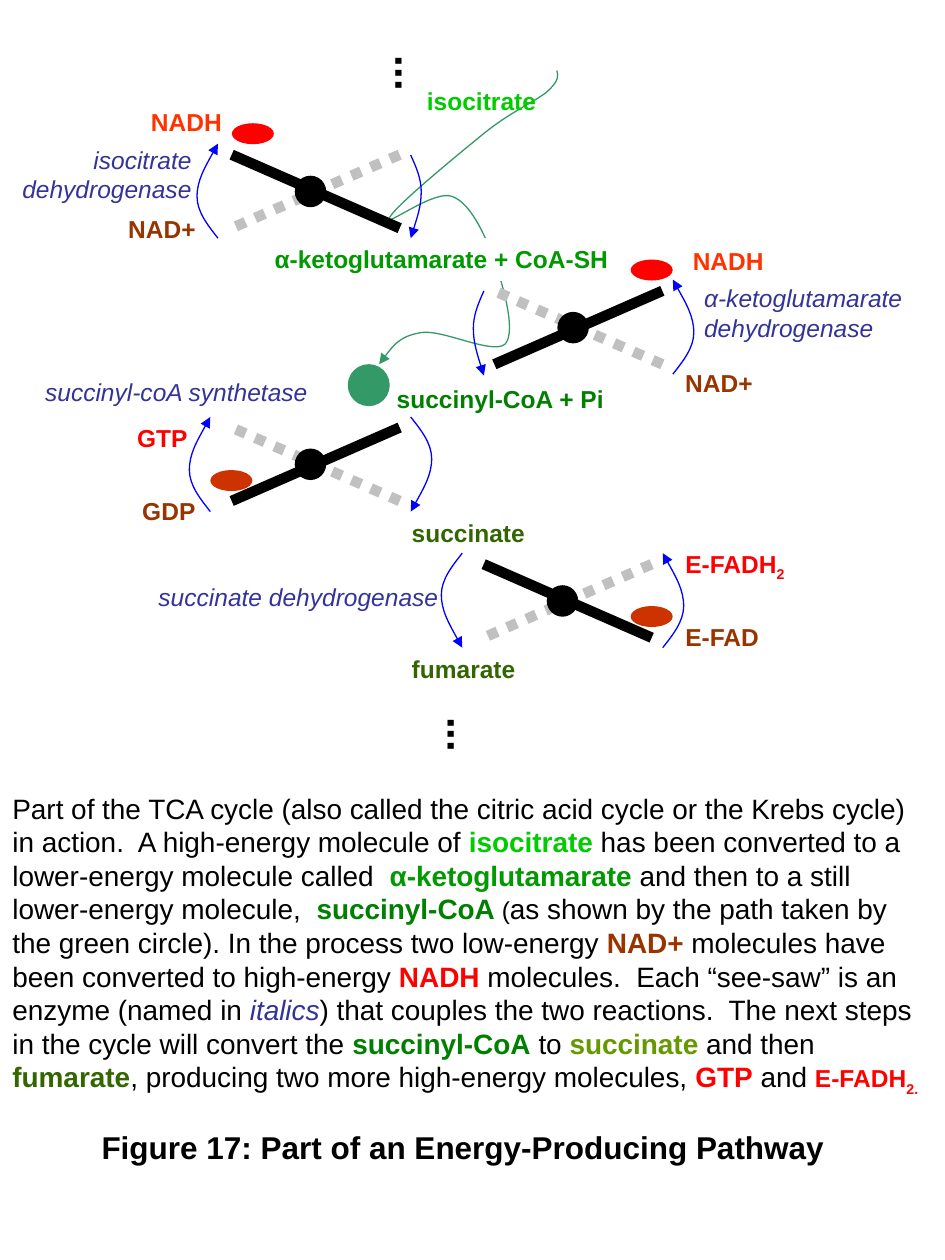
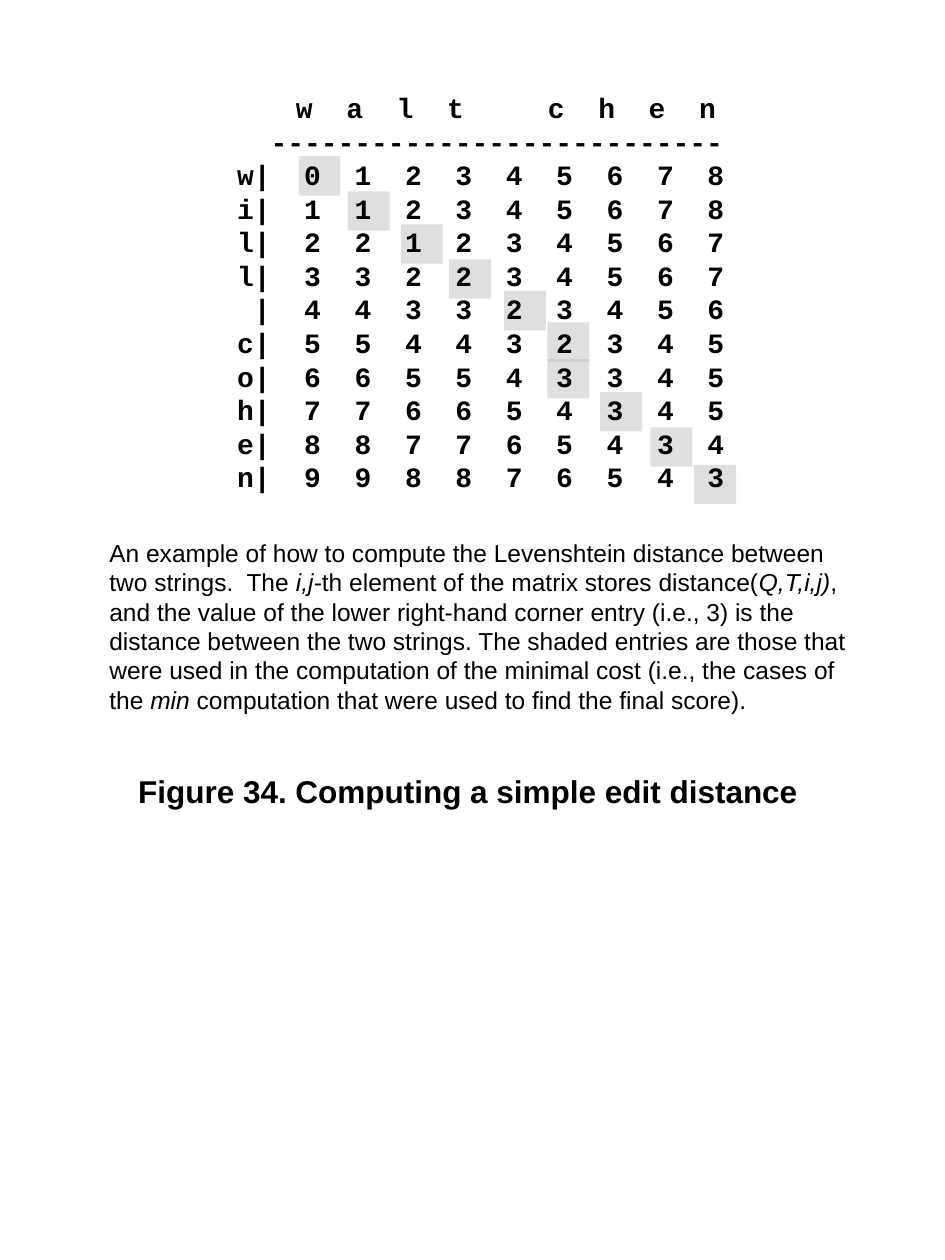
"""Build two figure pages: an energy pathway and an edit distance matrix."""
import dataclasses

import pptx
import pptx.dml.color
import pptx.enum.dml
import pptx.enum.shapes
import pptx.enum.text
import pptx.oxml.ns
import pptx.util
from lxml import etree

Pt = pptx.util.Pt
qn = pptx.oxml.ns.qn
SHAPES = pptx.enum.shapes.MSO_SHAPE
ALIGN = pptx.enum.text.PP_ALIGN
BLACK, SILVER, WHITE, BLUE = "000000", "C0C0C0", "FFFFFF", "0000FF"
RED, ORANGE, BROWN, RUST = "FF0000", "FF3300", "993300", "CC3300"
LIME, LEAF, GREEN, OLIVE = "00CC00", "009900", "008000", "336600"
MOSS, SEA, INDIGO = "669900", "339966", "333399"

CHARACTER = 9.6
COLUMN = 3 * CHARACTER
MATRIX_ROWS = [
    ("w", "012345678"), ("i", "112345678"), ("l", "221234567"), ("l", "332234567"),
    ("", "443323456"), ("c", "554432345"), ("o", "665543345"), ("h", "776654345"),
    ("e", "887765434"), ("n", "998876543"),
]
SHADED_CORNERS = [
    (170.6, 89.3), (198.7, 109.4), (229, 128.2), (256.6, 148.2), (288, 166.3),
    (312.8, 184.3), (312.8, 205.2), (343, 224.1), (371.7, 244.2), (396.7, 265.7),
]


@dataclasses.dataclass
class Span:
    """Hold a piece of text; style letters are b, i and s for subscript."""
    text: str
    colour: str = BLACK
    style: str = ""
    size: float = 0


def colour(value):
    """Turn a hex string into a colour."""
    return pptx.dml.color.RGBColor.from_string(value)


def write(paragraph, spans, size, font="Arial"):
    """Add formatted runs to a paragraph."""
    for span in spans:
        run = paragraph.add_run()
        run.text = span.text
        run.font.name = font
        run.font.size = Pt(span.size or size)
        run.font.bold = "b" in span.style
        run.font.italic = "i" in span.style
        run.font.color.rgb = colour(span.colour)
        if "s" in span.style:
            run.font._element.set("baseline", "-25000")


def add_text(page, frame, spans, size=14, wrap=False, align=ALIGN.LEFT):
    """Add a text box with one paragraph."""
    box = page.shapes.add_textbox(*map(Pt, frame))
    box.text_frame.word_wrap = wrap
    box.text_frame.auto_size = pptx.enum.text.MSO_AUTO_SIZE.SHAPE_TO_FIT_TEXT
    box.text_frame.paragraphs[0].alignment = align
    write(box.text_frame.paragraphs[0], spans, size)
    return box


def add_caption(page, frame, text):
    """Add the bold figure title."""
    add_text(page, frame, [Span(text, style="b")], 18, align=ALIGN.CENTER)


def add_dots(page, left, top):
    """Add a vertical ellipsis."""
    box = add_text(page, (left, top, 43.2, 27.4), [Span("...", style="b")], 24)
    text_frame = box.text_frame
    text_frame.margin_left = text_frame.margin_right = Pt(3.6)
    text_frame.margin_top = text_frame.margin_bottom = Pt(7.2)
    text_frame._txBody.bodyPr.set("vert", "eaVert")


def add_solid(page, kind, frame, fill, alpha=100):
    """Add a filled preset shape without outline."""
    shape = page.shapes.add_shape(kind, *map(Pt, frame))
    shape.shadow.inherit = False
    shape.line.fill.background()
    shape.fill.solid()
    shape.fill.fore_color.rgb = colour(fill)
    if alpha < 100:
        value = shape.fill._xPr.find(".//" + qn("a:srgbClr"))
        etree.SubElement(value, qn("a:alpha"), val=str(alpha * 1000))


def add_curve(page, points, line, arrow_end="tailEnd"):
    """Add a cubic curve with an arrowhead at one end."""
    corners = [(Pt(x), Pt(y)) for x, y in points]
    builder = page.shapes.build_freeform(*corners[0])
    builder.add_line_segments(corners[1:], close=False)
    curve = builder.convert_to_shape()
    curve.shadow.inherit = False
    curve.fill.background()
    curve.line.color.rgb = colour(line)
    curve.line.width = Pt(0.75)
    etree.SubElement(curve.line._get_or_add_ln(), qn("a:" + arrow_end), type="triangle")
    outline = curve._element.find(".//" + qn("a:path"))
    segments = outline.findall(qn("a:lnTo"))
    for first in range(0, len(segments), 3):
        bend = etree.SubElement(outline, qn("a:cubicBezTo"))
        for segment in segments[first:first + 3]:
            bend.append(segment[0])
            outline.remove(segment)


def add_arc(page, x, start, end, bulge):
    """Add a blue reaction arrow that bulges sideways."""
    steps = [(0, 0), (0.5, 0.14), (1, 0.28), (1, 0.44), (1, 0.61), (0.5, 0.8), (0, 1)]
    points = [(x + bulge * across, start + (end - start) * down) for across, down in steps]
    add_curve(page, points, BLUE)


def add_beam(page, x, y, rise, line, dash=None):
    """Add one sloping beam centred on a point."""
    beam = page.shapes.add_connector(
        pptx.enum.shapes.MSO_CONNECTOR.STRAIGHT,
        Pt(x + 48), Pt(y - rise), Pt(x - 48), Pt(y + rise))
    beam.line.color.rgb = colour(line)
    beam.line.width = Pt(6)
    beam.line.dash_style = dash
    etree.SubElement(beam._element.spPr, qn("a:effectLst"))


def add_seesaw(page, x, y, rise):
    """Add an enzyme: dotted former beam, solid beam and pivot."""
    add_beam(page, x, y, -rise, SILVER, pptx.enum.dml.MSO_LINE.ROUND_DOT)
    add_beam(page, x, y, rise, BLACK)
    add_solid(page, SHAPES.OVAL, (x - 12, y - 9, 18, 18), BLACK)


def set_tabs(paragraph, stops):
    """Give a paragraph left tab stops in points."""
    tabs = etree.SubElement(paragraph._p.get_or_add_pPr(), qn("a:tabLst"))
    for stop in stops:
        etree.SubElement(tabs, qn("a:tab"), pos=str(Pt(stop)), algn="l")


def add_matrix(page):
    """Add the distance matrix with its column and row letters."""
    box = add_text(page, (39.6, 48.2, 460.8, 237.6), [], wrap=True)
    letters = "\t" + "\t".join("walt chen").replace(" ", "")
    lines = [(letters, [122.4 + COLUMN * index for index in range(9)]),
             ("\t" + "-" * 27, [108])]
    digit_stops = [127.2 + COLUMN * index for index in range(9)]
    for letter, digits in MATRIX_ROWS:
        label_stop = 98.4 - CHARACTER * len(letter)
        lines.append((f"\t{letter}|\t" + "\t".join(digits), [label_stop, *digit_stops]))
    for index, (text, stops) in enumerate(lines):
        text_frame = box.text_frame
        paragraph = text_frame.add_paragraph() if index else text_frame.paragraphs[0]
        set_tabs(paragraph, stops)
        write(paragraph, [Span(text, style="b")], 16, "Courier New")


def build_pathway(page):
    """Draw the energy-producing pathway."""
    add_text(page, (0, 448.6, 540, 182.2), [
        Span("Part of the TCA cycle (also called the citric acid cycle or the Krebs cycle) "
             "in action.  A high-energy molecule of "),
        Span("isocitrate", LIME, "b"),
        Span(" has been converted to a lower-energy molecule called  "),
        Span("α-ketoglutamarate", LEAF, "b"),
        Span(" and then to a still lower-energy molecule,  "),
        Span("succinyl-CoA ", GREEN, "b"),
        Span("(", size=14),
        Span("as shown by the path taken by the green circle). "
             "In the process two low-energy "),
        Span("NAD+", BROWN, "b"),
        Span(" molecules have been converted to high-energy "),
        Span("NADH", RED, "b"),
        Span(" molecules.  Each “see-saw” is an enzyme (named in "),
        Span("italics", INDIGO, "i"),
        Span(") that couples the two reactions.  The next steps in the cycle "
             "will convert the "),
        Span("succinyl-CoA", GREEN, "b"),
        Span(" to "),
        Span("succinate", MOSS, "b"),
        Span(" and then "),
        Span("fumarate", OLIVE, "b"),
        Span(", producing two more high-energy molecules, "),
        Span("GTP", RED, "b"),
        Span(" and "),
        Span("E-FADH", RED, "b", 14),
        Span("2.", RED, "bs", 14),
    ], 16, wrap=True)
    add_curve(page, [
        (216.7, 208.1), (222.5, 200.2), (228.2, 192.2), (240.5, 190.1),
        (252.7, 187.9), (281.5, 203), (288.7, 196.6),
        (295.2, 189.4), (287.3, 162), (282.2, 148.3),
        (277.2, 133.9), (268.6, 115.9), (258.5, 112.3),
        (248.4, 108), (219.6, 130.3), (222.5, 124.6),
        (225.4, 118.1), (261.4, 88.6), (276.5, 76.3),
        (291.6, 64.1), (305.3, 58.3), (312.5, 52.6),
        (319.7, 46.1), (319, 43.2), (318.2, 40.3)], SEA, "headEnd")
    for x, y, rise in [(180.4, 109.4, -21), (330.5, 187.2, 21),
                       (180.4, 265.3, 21), (324.4, 343.4, -21)]:
        add_seesaw(page, x, y, rise)
    add_solid(page, SHAPES.RECTANGLE, (149.8, 136.1, 205.2, 24.5), WHITE)
    for left, top, width, text, value in [
            (236.9, 45.4, 78, "isocitrate", LIME),
            (149.8, 136.1, 206, "α-ketoglutamarate + CoA-SH", LEAF),
            (79.2, 57.6, 56, "NADH", ORANGE),
            (388.8, 136.8, 56, "NADH", ORANGE),
            (219.6, 216, 134, "succinyl-CoA + Pi", GREEN),
            (228.2, 292.3, 80, "succinate", OLIVE),
            (71.3, 238.3, 44, "GTP", RED),
            (228.2, 370.1, 75, "fumarate", OLIVE)]:
        add_text(page, (left, top, width, 24.5), [Span(text, value, "b")])
    for left, top, width, text in [
            (66.2, 118.8, 69.1, "NAD+"), (384.5, 206.6, 69.1, "NAD+"),
            (74.2, 280.1, 52.6, "GDP"), (384.5, 352.1, 77.8, "E-FAD")]:
        add_text(page, (left, top, width, 24.5), [Span(text, BROWN, "b")], wrap=True)
    add_text(page, (384.5, 310.3, 73, 26.6),
             [Span("E-FADH", RED, "b"), Span("2", RED, "bs")])
    for frame, text, wrap, align in [
            ((0, 79.2, 116.6, 41), "isocitrate dehydrogenase", True, ALIGN.RIGHT),
            ((395.3, 158.4, 129.6, 41), "α-ketoglutamarate dehydrogenase", True, ALIGN.LEFT),
            ((18.7, 211.7, 166, 24.5), "succinyl-coA synthetase", False, ALIGN.LEFT),
            ((83.5, 329, 175, 24.5), "succinate dehydrogenase", False, ALIGN.LEFT)]:
        add_text(page, frame, [Span(text, INDIGO, "i")], wrap=wrap, align=align)
    for arc in [(234.7, 88.6, 136.1, 6), (124.6, 136.1, 82.1, -12),
                (384.5, 213.8, 159.8, 12), (276.5, 166.3, 214.6, -6),
                (234.7, 238.3, 292.3, 12), (120.2, 292.3, 238.3, -12),
                (378.7, 370.1, 316.1, 12), (264.2, 316.1, 370.1, -12)]:
        add_arc(page, *arc)
    add_solid(page, SHAPES.OVAL, (198.7, 208.1, 24, 24), SEA)
    for left, top, fill in [(120.2, 268.6, RUST), (360.4, 148.3, RED),
                            (132.5, 70.4, RED), (360.4, 346.3, RUST)]:
        add_solid(page, SHAPES.OVAL, (left, top, 24, 12), fill)
    add_dots(page, 240.2, 402.7)
    add_dots(page, 210.3, 24.7)
    add_caption(page, (44.6, 640.8, 440, 28.8),
                "Figure 17: Part of an Energy-Producing Pathway")


def build_distance(page):
    """Draw the edit distance matrix and its explanation."""
    add_text(page, (55.4, 303.8, 442.8, 108), [
        Span("An example of how to compute the Levenshtein distance between two "
             "strings.  The "),
        Span("i,j-", style="i"),
        Span("th element of the matrix stores distance("),
        Span("Q,T,i,j)", style="i"),
        Span(", and the value of the lower right-hand corner entry (i.e., 3) is the "
             "distance between the two strings. The shaded entries are those that were "
             "used in the computation of the minimal cost (i.e., the cases of the "),
        Span("min", style="i"),
        Span(" computation that were used to find the final score)."),
    ], wrap=True)
    for left, top in SHADED_CORNERS:
        add_solid(page, SHAPES.RECTANGLE, (left, top, 24, 22.5), SILVER, 50)
    add_matrix(page)
    add_caption(page, (65.5, 437.8, 404, 28.8), "Figure 34. Computing a simple edit distance")


def main():
    """Build and save the deck."""
    deck = pptx.Presentation()
    deck.slide_width, deck.slide_height = Pt(540), Pt(720)
    for build in (build_pathway, build_distance):
        build(deck.slides.add_slide(deck.slide_layouts[6]))
    deck.save("out.pptx")


if __name__ == "__main__":
    main()
